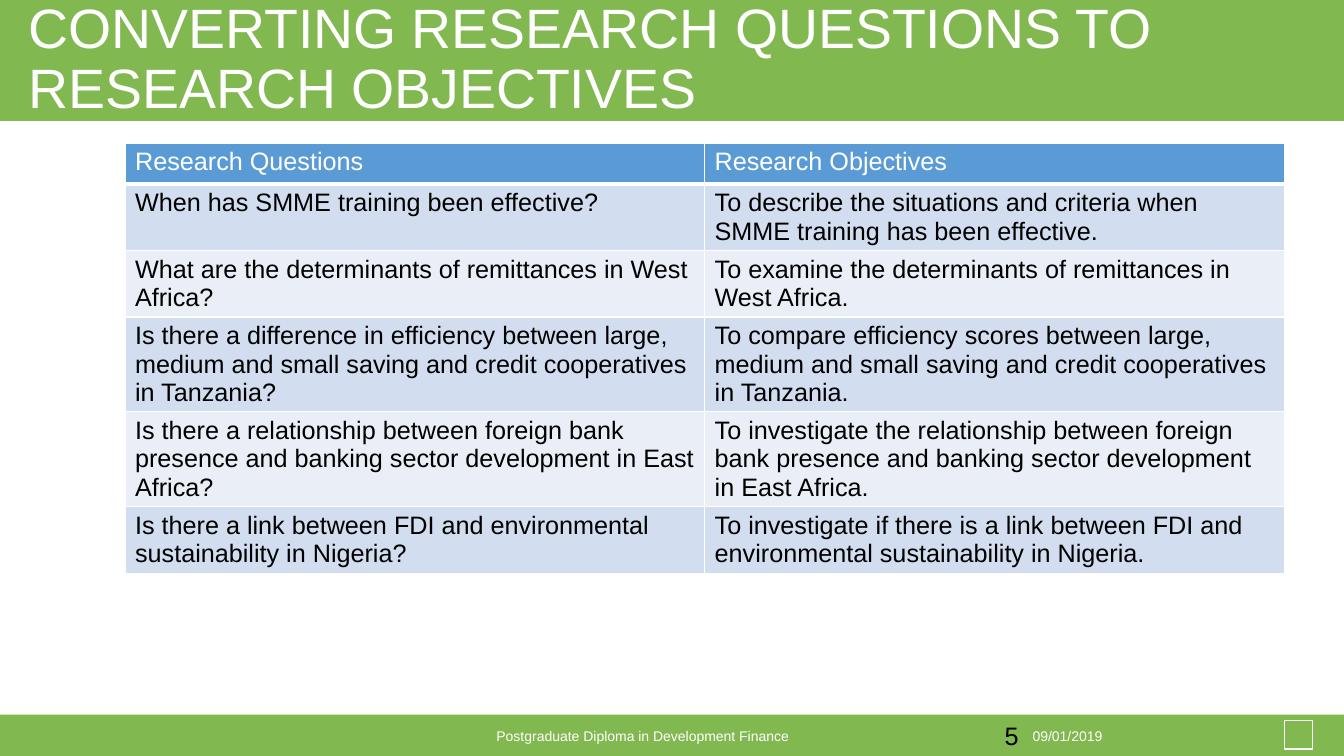
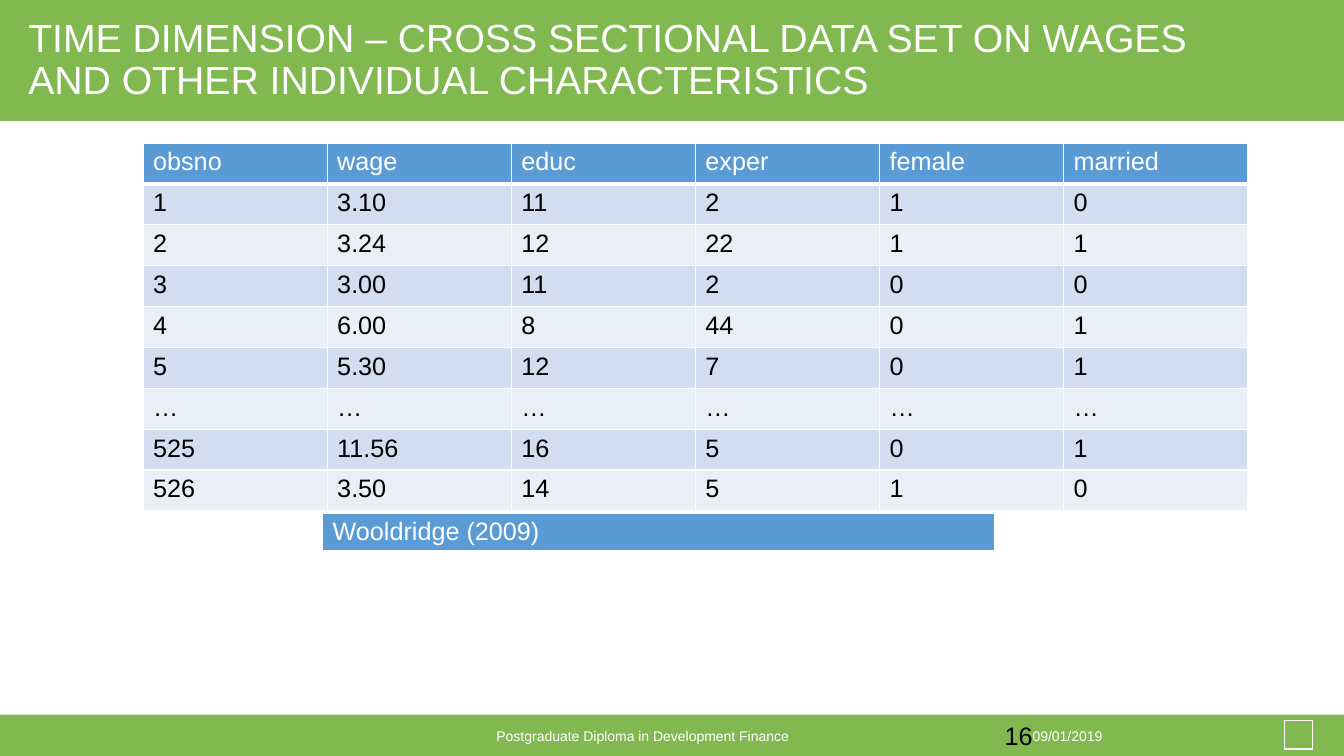
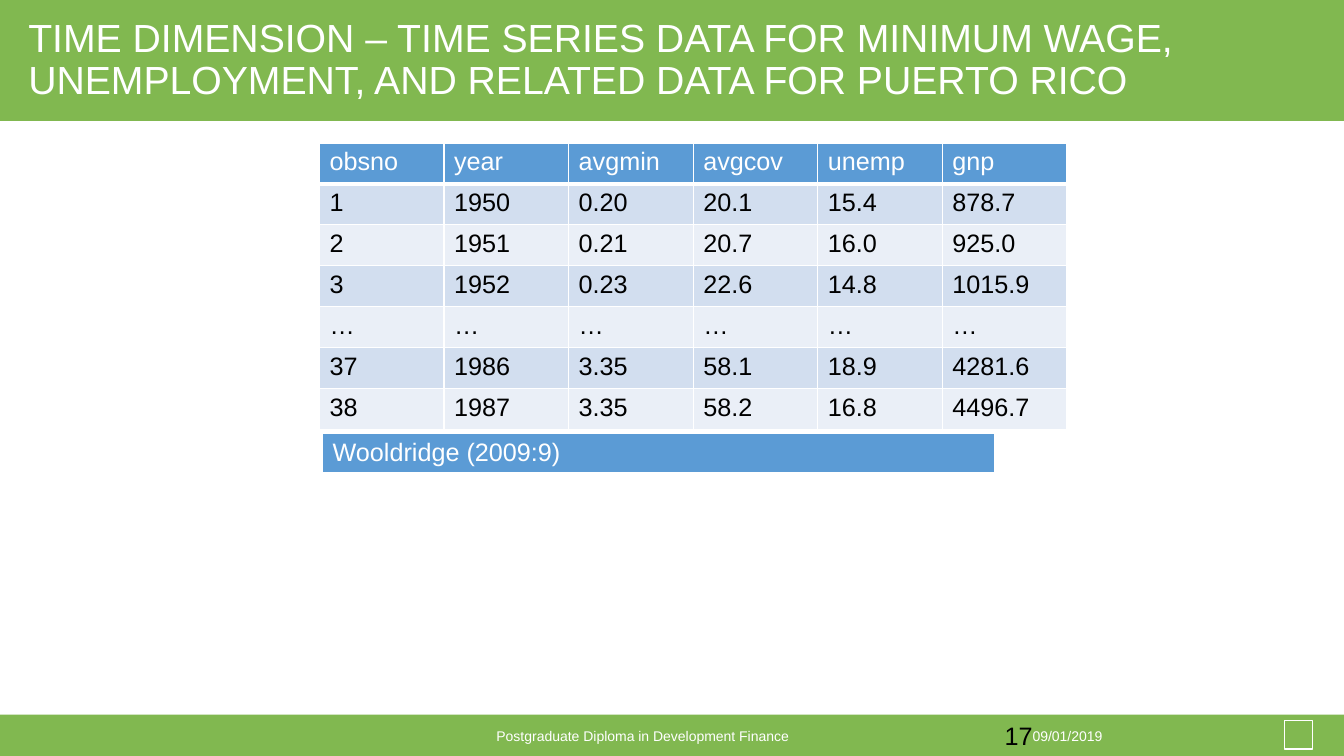
"""Build three slides on research questions and data sets."""
from lxml import etree
from pptx import Presentation
from pptx.dml.color import RGBColor
from pptx.enum import shapes, text
from pptx.oxml.ns import qn
from pptx.util import Pt

GREEN = RGBColor(0x81, 0xB8, 0x50)
BLUE = RGBColor(0x5B, 0x9B, 0xD5)
BANDS = (RGBColor(0xD2, 0xDE, 0xEF), RGBColor(0xEA, 0xEF, 0xF7))
WHITE = RGBColor(0xFF, 0xFF, 0xFF)
BLACK = RGBColor(0, 0, 0)
FONT = "Arial"
WIDTH, HEIGHT = 960, 540
BAND_HEIGHT = 86.4
FOOTER_TOP = 510.5
TABLE_TOP = 102.2
ROW_HEIGHT = 29.2
SOURCE_LEFT, SOURCE_WIDTH = 230.4, 480

QUESTIONS = [
    ("Research Questions", "Research Objectives"),
    ("When has SMME training been effective?",
     "To describe the situations and criteria when SMME training has been effective."),
    ("What are the determinants of remittances in West Africa?",
     "To examine the determinants of remittances in West Africa."),
    ("Is there a difference in efficiency between large, medium and small saving "
     "and credit cooperatives in Tanzania?",
     "To compare efficiency scores between large, medium and small saving "
     "and credit cooperatives in Tanzania."),
    ("Is there a relationship between foreign bank presence and banking sector "
     "development in East Africa?",
     "To investigate the relationship between foreign bank presence and banking "
     "sector development in East Africa."),
    ("Is there a link between FDI and environmental sustainability in Nigeria?",
     "To investigate if there is a link between FDI and environmental "
     "sustainability in Nigeria."),
]
WAGES = [
    ("obsno", "wage", "educ", "exper", "female", "married"),
    ("1", "3.10", "11", "2", "1", "0"),
    ("2", "3.24", "12", "22", "1", "1"),
    ("3", "3.00", "11", "2", "0", "0"),
    ("4", "6.00", "8", "44", "0", "1"),
    ("5", "5.30", "12", "7", "0", "1"),
    ("…",) * 6,
    ("525", "11.56", "16", "5", "0", "1"),
    ("526", "3.50", "14", "5", "1", "0"),
]
PUERTO_RICO = [
    ("obsno", "year", "avgmin", "avgcov", "unemp", "gnp"),
    ("1", "1950", "0.20", "20.1", "15.4", "878.7"),
    ("2", "1951", "0.21", "20.7", "16.0", "925.0"),
    ("3", "1952", "0.23", "22.6", "14.8", "1015.9"),
    ("…",) * 6,
    ("37", "1986", "3.35", "58.1", "18.9", "4281.6"),
    ("38", "1987", "3.35", "58.2", "16.8", "4496.7"),
]


def write(tf, words, size, color, align=text.PP_ALIGN.LEFT):
    """Put one formatted paragraph in a text frame and return it."""
    tf.text = words
    p = tf.paragraphs[0]
    p.alignment = align
    font = p.runs[0].font
    font.name, font.size, font.color.rgb = FONT, Pt(size), color
    return p


def add_rect(s, left, top, width, height, fill=None, line=None):
    """Add a plain rectangle with an optional fill and outline."""
    sp = s.shapes.add_shape(shapes.MSO_SHAPE.RECTANGLE,
                            Pt(left), Pt(top), Pt(width), Pt(height))
    sp.shadow.inherit = False
    if fill is None:
        sp.fill.background()
    else:
        sp.fill.solid()
        sp.fill.fore_color.rgb = fill
    if line is None:
        sp.line.fill.background()
    else:
        sp.line.color.rgb = line
        sp.line.width = Pt(1)


def add_label(s, left, top, width, height, words, size, color,
              align=text.PP_ALIGN.LEFT):
    """Add a wrapping text box."""
    sp = s.shapes.add_textbox(Pt(left), Pt(top), Pt(width), Pt(height))
    sp.text_frame.word_wrap = True
    write(sp.text_frame, words, size, color, align)


def set_borders(cell, bottom):
    """Give a cell white borders, with its own width at the bottom."""
    tc_pr = cell._tc.get_or_add_tcPr()
    for side, width in (("L", 1), ("R", 1), ("T", 1), ("B", bottom)):
        ln = etree.SubElement(tc_pr, qn(f"a:ln{side}"), w=str(Pt(width)))
        fill = etree.SubElement(ln, qn("a:solidFill"))
        etree.SubElement(fill, qn("a:srgbClr"), val=str(WHITE))


def add_grid(s, left, top, width, rows, row_height=ROW_HEIGHT):
    """Add a table with a blue first row and banded rows below."""
    n = len(rows[0])
    table = s.shapes.add_table(len(rows), n, Pt(left), Pt(top), Pt(width),
                               Pt(row_height * len(rows))).table
    table.first_row = table.horz_banding = False
    for column in table.columns:
        column.width = Pt(width / n)
    for i, row in enumerate(rows):
        table.rows[i].height = Pt(row_height)
        for j, words in enumerate(row):
            cell = table.cell(i, j)
            set_borders(cell, 1 if i else 3)
            cell.fill.solid()
            cell.fill.fore_color.rgb = BANDS[(i - 1) % 2] if i else BLUE
            write(cell.text_frame, words, 18, BLACK if i else WHITE)


def add_slide(prs, title, size, number):
    """Add a slide with its title band and footer."""
    s = prs.slides.add_slide(prs.slide_layouts[5])
    add_rect(s, 0, 0, WIDTH, BAND_HEIGHT, fill=GREEN)
    add_rect(s, 0, FOOTER_TOP, WIDTH, HEIGHT - FOOTER_TOP, fill=GREEN)
    add_rect(s, 917.3, 514.8, 20.2, 20.2, line=WHITE)
    for left, width, words in (
            (215.3, 487.4, "Postgraduate Diploma in Development Finance"),
            (607.7, 309.6, "09/01/2019")):
        add_label(s, left, 516.2, width, 19.4, words, 10, WHITE,
                  text.PP_ALIGN.CENTER)
    add_label(s, 710.6, 511.2, 207.4, 28.8, str(number), 18, BLACK)

    sp = s.shapes.title
    sp.element.getparent().append(sp.element)
    sp.left, sp.top, sp.width, sp.height = Pt(13), 0, Pt(872.6), Pt(BAND_HEIGHT)
    tf = sp.text_frame
    tf.auto_size = text.MSO_AUTO_SIZE.NONE
    tf.word_wrap = True
    tf.vertical_anchor = text.MSO_ANCHOR.MIDDLE
    write(tf, title, size, WHITE).line_spacing = 0.9
    return s


def main():
    """Build and save the presentation."""
    prs = Presentation()
    prs.slide_width, prs.slide_height = Pt(WIDTH), Pt(HEIGHT)

    s = add_slide(prs, "CONVERTING RESEARCH QUESTIONS TO RESEARCH OBJECTIVES", 39.6, 5)
    add_grid(s, 89.3, TABLE_TOP, 828, QUESTIONS)

    s = add_slide(prs, "TIME DIMENSION – CROSS SECTIONAL DATA SET ON WAGES "
                       "AND OTHER INDIVIDUAL CHARACTERISTICS", 28, 16)
    add_grid(s, 102.2, TABLE_TOP, 789, WAGES)
    add_grid(s, SOURCE_LEFT, 366.5, SOURCE_WIDTH, [("Wooldridge (2009)",)], 27)

    s = add_slide(prs, "TIME DIMENSION – TIME SERIES DATA FOR MINIMUM WAGE, "
                       "UNEMPLOYMENT, AND RELATED DATA FOR PUERTO RICO", 28, 17)
    add_grid(s, 228.2, TABLE_TOP, 534, PUERTO_RICO)
    add_grid(s, SOURCE_LEFT, 309.6, SOURCE_WIDTH, [("Wooldridge (2009:9)",)])

    prs.save("out.pptx")


if __name__ == "__main__":
    main()
